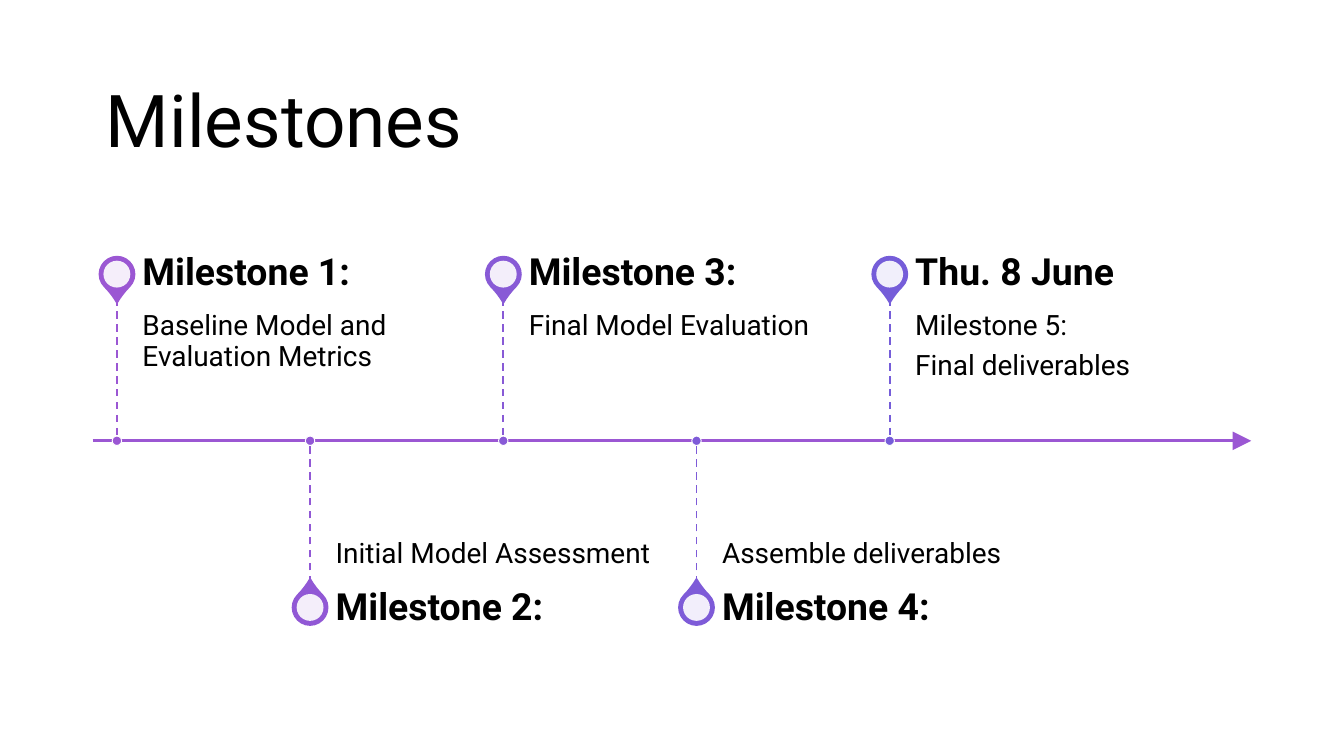
from lxml import etree
from pptx import Presentation
from pptx.dml.color import RGBColor
from pptx.enum.dml import MSO_LINE
from pptx.enum.shapes import MSO_CONNECTOR, MSO_SHAPE
from pptx.enum.text import MSO_ANCHOR, MSO_AUTO_SIZE
from pptx.oxml.ns import qn
from pptx.util import Inches, Pt

STRAIGHT = MSO_CONNECTOR.STRAIGHT
TEARDROP, OVAL = MSO_SHAPE.TEAR, MSO_SHAPE.OVAL
TOP, MIDDLE, BOTTOM = MSO_ANCHOR.TOP, MSO_ANCHOR.MIDDLE, MSO_ANCHOR.BOTTOM
FIXED_SIZE = MSO_AUTO_SIZE.NONE
DASH = MSO_LINE.DASH

COLORS = {
    "text": "000000", "white": "FFFFFF", "axis": "9B57D3",
    "pin 1": "9B57D3", "pin 2": "9158D5", "pin 3": "885AD6",
    "pin 4": "7E5BD8", "pin 5": "755DD9",
}
MILESTONES = [
    ("Milestone 1:", ["Baseline Model and Evaluation Metrics"]),
    ("Milestone 2:", ["Initial Model Assessment"]),
    ("Milestone 3:", ["Final Model Evaluation"]),
    ("Milestone 4:", ["Assemble deliverables"]),
    ("Thu. 8 June", ["Milestone 5:", "Final deliverables"]),
]
FIRST_X, LAST_X = 0.87, 6.62
STEP = (LAST_X - FIRST_X) / (len(MILESTONES) - 1)
AXIS_Y, STEM = 3.28, 1.06
PIN, HOLE, DOT = 0.26, 0.2, 0.07
TEXT_WIDTH, HEADING_HEIGHT = 2.39, 0.37

presentation = Presentation()
presentation.slide_width = Inches(10)
presentation.slide_height = Inches(10) * 9 // 16
slide = presentation.slides.add_slide(presentation.slide_layouts[6])


def add_text(box, lines, size, anchor, insets, bold=False):
    """Box is left, top, width, height; insets are left, top, right, bottom."""
    frame = slide.shapes.add_textbox(*map(Inches, box)).text_frame
    frame.word_wrap = True
    frame.auto_size = FIXED_SIZE
    frame.vertical_anchor = anchor
    (frame.margin_left, frame.margin_top,
     frame.margin_right, frame.margin_bottom) = map(Inches, insets)
    for number, line in enumerate(lines):
        paragraph = frame.add_paragraph() if number else frame.paragraphs[0]
        paragraph.line_spacing = 0.9
        paragraph.space_after = Pt(0.35 * size)
        run = paragraph.add_run()
        run.text = line
        run.font.name = "Roboto"
        run.font.size = Pt(size)
        run.font.bold = bold
        run.font.color.rgb = RGBColor.from_string(COLORS["text"])


def add_line(start, end, color, width):
    line = slide.shapes.add_connector(STRAIGHT, *map(Inches, start + end))
    line.line.color.rgb = RGBColor.from_string(COLORS[color])
    line.line.width = Pt(width)
    etree.SubElement(line._element.spPr, qn("a:effectLst"))
    return line


add_text((0.69, 0.46, 8.62, 0.93), ["Milestones"], 39, MIDDLE, (0.1, 0.05, 0.1, 0.05))

axis = add_line((0.69, AXIS_Y), (9.31, AXIS_Y), "axis", 1.5)
etree.SubElement(axis.line._get_or_add_ln(), qn("a:tailEnd"),
                 type="triangle", w="lg", len="lg")

for index, (heading, details) in enumerate(MILESTONES):
    x = FIRST_X + index * STEP
    text_left = x + 0.19
    color = f"pin {index + 1}"
    above = index % 2 == 0
    if above:
        pin_y, stem_end, rotation = 2.04, AXIS_Y - STEM, 135
        heading_top, details_top = stem_end - HEADING_HEIGHT, stem_end
        anchor, insets = TOP, (0, 0.1, 0.1, 0.16)
    else:
        pin_y, stem_end, rotation = 4.52, AXIS_Y + STEM, 315
        heading_top, details_top = stem_end, AXIS_Y
        anchor, insets = BOTTOM, (0, 0.16, 0, 0.1)

    add_text((text_left, details_top, TEXT_WIDTH, STEM), details, 15, anchor, insets)
    add_text((text_left, heading_top, TEXT_WIDTH, HEADING_HEIGHT), [heading], 20,
             MIDDLE, (0, 0, 0.14, 0), bold=True)
    stem = add_line((x, stem_end), (x, AXIS_Y), color, 1)
    stem.line.dash_style = DASH

    # kind, size, centre height, fill, outline, outline width
    parts = [
        (TEARDROP, PIN, pin_y, color, color, 1),
        (OVAL, HOLE, pin_y, "white", None, 0),
        (OVAL, DOT, AXIS_Y, color, "white", 0.5),
    ]
    for kind, size, y, fill, outline, width in parts:
        shape = slide.shapes.add_shape(
            kind, Inches(x - size / 2), Inches(y - size / 2), Inches(size), Inches(size))
        shape.shadow.inherit = False
        shape.fill.solid()
        shape.fill.fore_color.rgb = RGBColor.from_string(COLORS[fill])
        if outline:
            shape.line.color.rgb = RGBColor.from_string(COLORS[outline])
            shape.line.width = Pt(width)
        else:
            shape.line.fill.background()
            rgb = shape._element.spPr.find(qn("a:solidFill"))[0]
            etree.SubElement(rgb, qn("a:alpha"), val="90000")
        if kind == TEARDROP:
            shape.adjustments[0] = 1.15
            shape.rotation = rotation

presentation.save("out.pptx")
